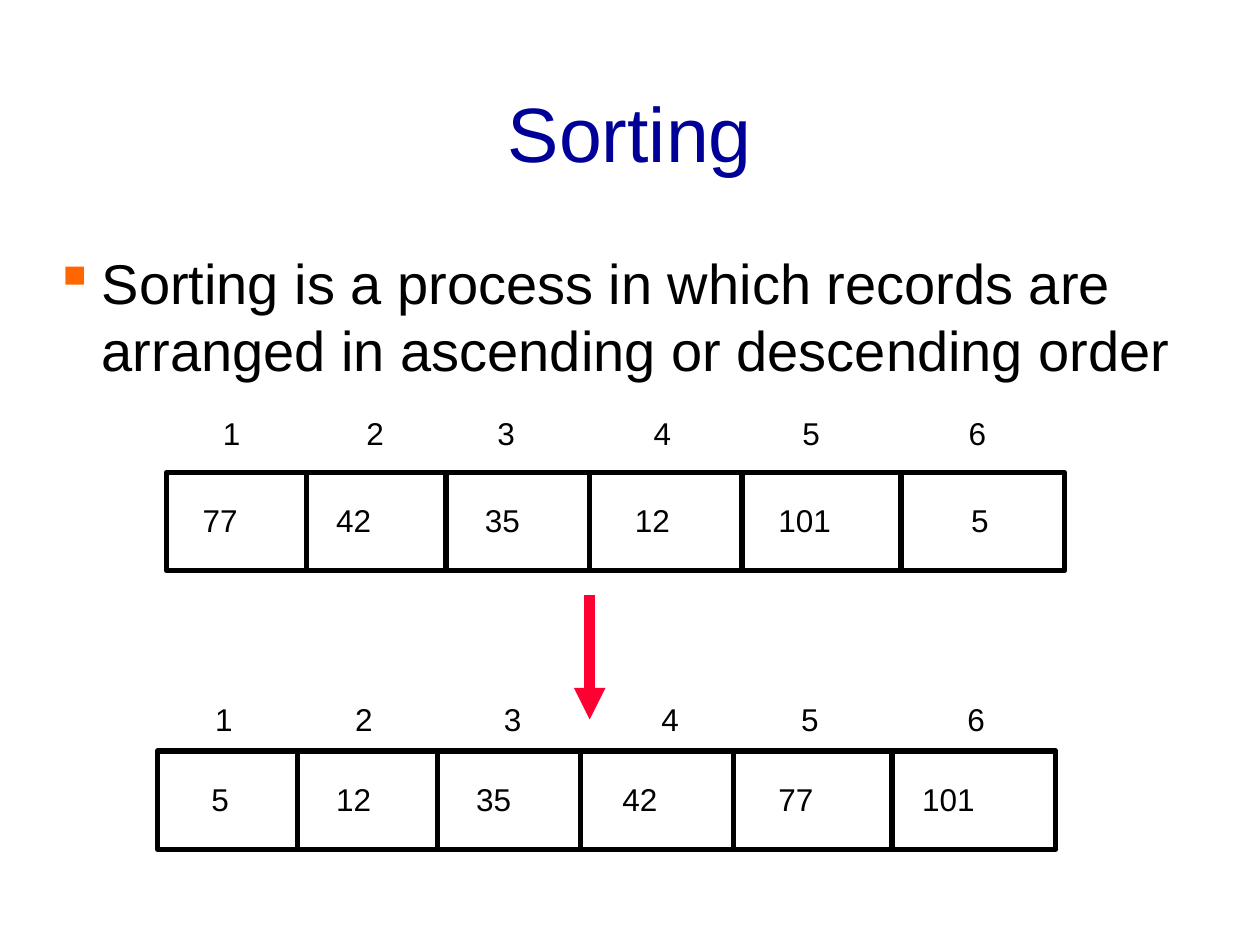
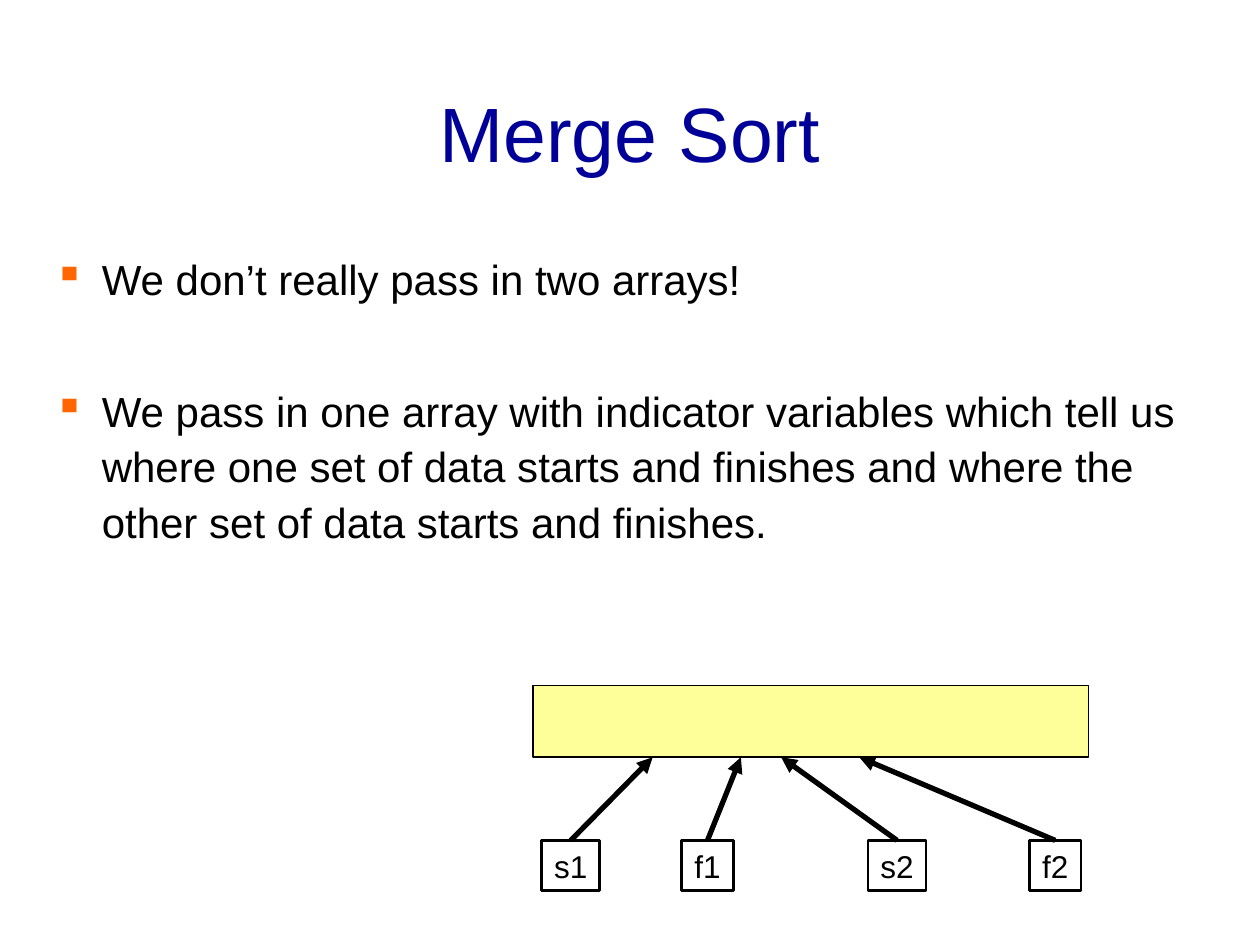
from lxml import etree
from pptx import Presentation
from pptx.dml.color import RGBColor
from pptx.enum import shapes, text
from pptx.oxml import ns
from pptx.util import Inches, Pt

FONT = "Arial"
BLACK, NAVY, ORANGE = "000000", "000099", "FF6600"
RED, YELLOW = "FF0033", "FFFF99"
DIVIDERS = (1.11, 2.22, 3.36, 4.57, 5.83)  # offsets from the array's left edge
ARRAY_WIDTH, ARRAY_HEIGHT = 7.13, 0.78


def color(code):
    return RGBColor.from_string(code)


def add_child(parent, tag, **attributes):
    return etree.SubElement(parent, ns.qn(tag), attributes)


# Text
def style(para, size, code=BLACK):
    para.font.name, para.font.size = FONT, Pt(size)
    para.font.color.rgb = color(code)


def add_text(page, left, top, width, height, words, size=18, code=BLACK, wrap=False):
    box = page.shapes.add_textbox(*map(Inches, (left, top, width, height)))
    frame = box.text_frame
    frame.word_wrap = wrap
    frame.text = words
    style(frame.paragraphs[0], size, code)
    return frame


def add_title(page, words):
    frame = add_text(page, 0.33, 0.42, 9.34, 1.25, words, 44, NAVY, wrap=True)
    frame.vertical_anchor = text.MSO_ANCHOR.MIDDLE
    frame.paragraphs[0].alignment = text.PP_ALIGN.CENTER


def add_bullets(page, items, size, spacing=1.0, gap=0):
    box = page.shapes.add_textbox(*map(Inches, (0.33, 1.92, 9.34, 4.67)))
    frame = box.text_frame
    frame.word_wrap = True
    for number, words in enumerate(items):
        para = frame.add_paragraph() if number else frame.paragraphs[0]
        para.text = words
        para.line_spacing = spacing
        para.space_before = Pt(gap if number else 0)
        props = para._p.get_or_add_pPr()
        props.set("marL", str(Inches(0.38)))
        props.set("indent", str(-Inches(0.38)))
        add_child(add_child(props, "a:buClr"), "a:srgbClr", val=ORANGE)
        add_child(props, "a:buChar", char="▪")
        style(para, size)


def add_indexes(page, left, top, width, stops):
    """Numbers 1 to 6 on one line, each at its own tab stop."""
    frame = add_text(page, left, top, width, 0.4, "", wrap=True)
    para = frame.paragraphs[0]
    para.text = "\t".join(str(index) for index in range(1, len(stops) + 2))
    props = para._p.get_or_add_pPr()
    tabs = etree.Element(ns.qn("a:tabLst"))
    props.insert(0, tabs)
    for stop in stops:
        add_child(tabs, "a:tab", pos=str(Inches(stop)), algn="l")
    style(para, 18)


# Shapes and lines
def add_box(page, left, top, width, height, weight, fill=None):
    box = page.shapes.add_shape(shapes.MSO_SHAPE.RECTANGLE,
                                *map(Inches, (left, top, width, height)))
    box.shadow.inherit = False
    if fill:
        box.fill.solid()
        box.fill.fore_color.rgb = color(fill)
    else:
        box.fill.background()
    box.line.color.rgb = color(BLACK)
    box.line.width = Pt(weight)
    return box


def add_line(page, start, end, weight=3, code=BLACK, arrow=False):
    line = page.shapes.add_connector(shapes.MSO_CONNECTOR.STRAIGHT,
                                     *map(Inches, (*start, *end)))
    line.line.color.rgb = color(code)
    line.line.width = Pt(weight)
    if arrow:
        add_child(line.line._get_or_add_ln(), "a:tailEnd", type="triangle")
    add_child(line._element.spPr, "a:effectLst")
    return line


def add_array(page, left, top, values):
    """Six-cell array; values pairs each number with its box's left edge."""
    add_box(page, left, top, ARRAY_WIDTH, ARRAY_HEIGHT, 3)
    for offset in DIVIDERS:
        x = left + offset
        add_line(page, (x, top), (x, top + ARRAY_HEIGHT))
    for value, x in values:
        words = str(value)
        add_text(page, x, top + 0.18, 0.2 + 0.14 * len(words), 0.4, words)


def add_pointer(page, name, left, width, target):
    """Named variable box with an arrow up to the data array."""
    box = add_box(page, left, 6.67, width, 0.4, 1.5)
    frame = box.text_frame
    frame.word_wrap = False
    frame.text = name
    frame.paragraphs[0].alignment = text.PP_ALIGN.CENTER
    style(frame.paragraphs[0], 18)
    arrow = add_line(page, (left + width / 2, 6.67), (target, 6.01), arrow=True)
    arrow.begin_connect(box, 0)


# Slides
def build_sorting(page):
    add_title(page, "Sorting")
    add_bullets(page, ["Sorting is a process in which records are arranged "
                       "in ascending or descending order"], 32)
    add_indexes(page, 1.67, 3.24, 6.67, (1.14, 2.18, 3.42, 4.6, 5.92))
    add_array(page, 1.32, 3.75, [(77, 1.51), (42, 2.57), (35, 3.75),
                                 (12, 4.94), (101, 6.08), (5, 7.61)])
    add_line(page, (4.68, 4.72), (4.68, 5.71), 6, RED, arrow=True)
    add_indexes(page, 1.61, 5.51, 6.32, (1.11, 2.29, 3.54, 4.65, 5.97))
    add_array(page, 1.25, 5.96, [(5, 1.58), (12, 2.57), (35, 3.68),
                                 (42, 4.84), (77, 6.08), (101, 7.22)])


def build_merge_sort(page):
    add_title(page, "Merge Sort")
    add_bullets(page, ["We don’t really pass in two arrays!",
                       "We pass in one array with indicator variables which tell us "
                       "where one set of data starts and finishes and where the other "
                       "set of data starts and finishes."], 24, spacing=1.1, gap=44)
    add_box(page, 4.23, 5.44, 4.41, 0.57, 1, YELLOW)
    for pointer in (("s1", 4.3, 0.46, 5.18), ("f1", 5.41, 0.41, 5.88),
                    ("s2", 6.89, 0.46, 6.2), ("f2", 8.17, 0.41, 6.82)):
        add_pointer(page, *pointer)


def main():
    deck = Presentation()
    deck.slide_width, deck.slide_height = Inches(10), Inches(7.5)
    for build in (build_sorting, build_merge_sort):
        build(deck.slides.add_slide(deck.slide_layouts[6]))
    deck.save("out.pptx")


if __name__ == "__main__":
    main()
